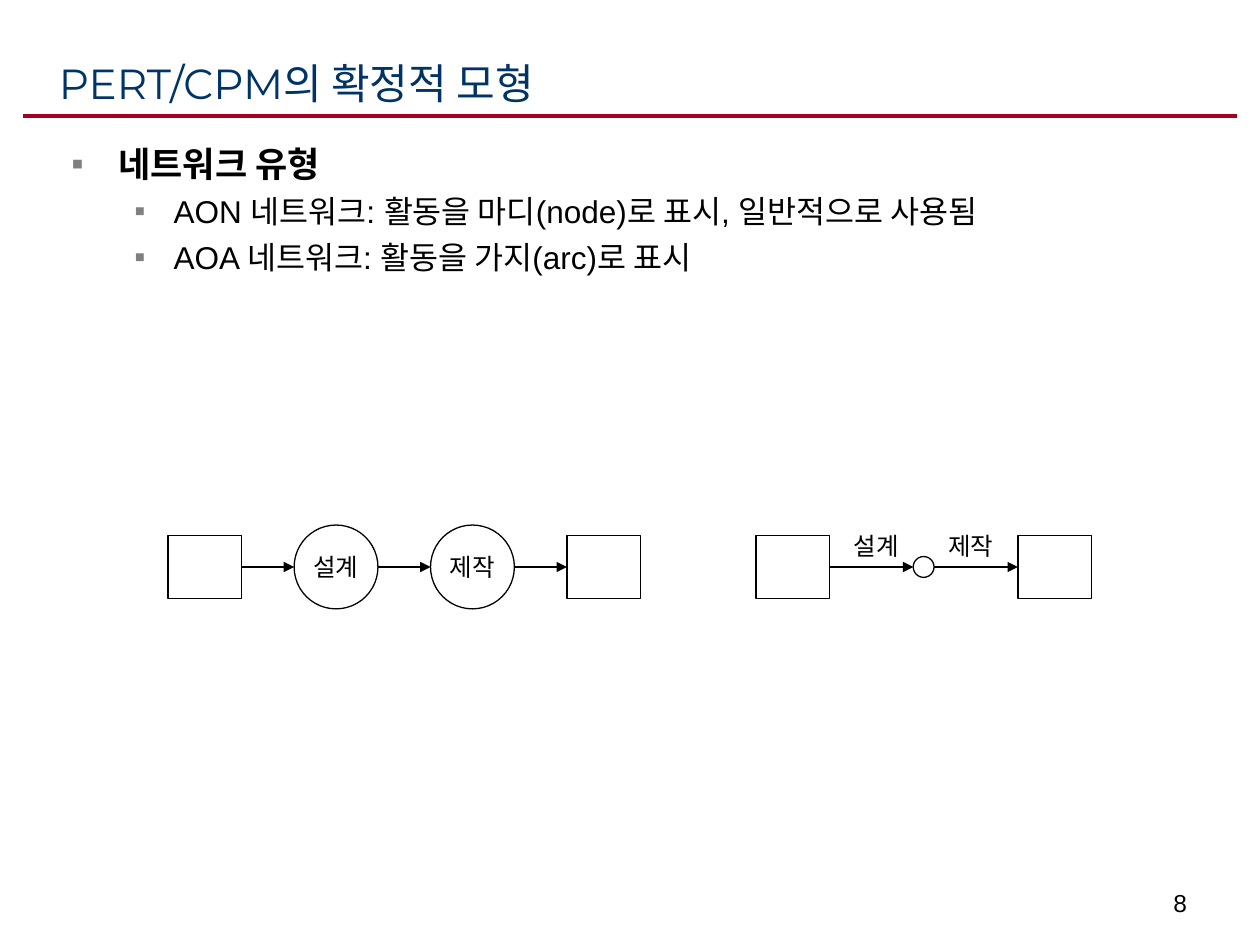
from pptx import Presentation
from pptx.dml.color import RGBColor
from pptx.enum.shapes import MSO_CONNECTOR, MSO_SHAPE
from pptx.enum.text import MSO_ANCHOR, PP_ALIGN
from pptx.oxml.ns import qn
from pptx.util import Cm, Pt
from lxml.etree import SubElement


def color(text):
    return RGBColor.from_string(text)


class Deck:
    font = "Arial"
    ink = "000000"
    paper = "FFFFFF"
    thin = 0.75
    axis = 11.43
    sizes = {"box": (1.48, 1.27), "node": (1.69, 1.69), "dot": (0.42, 0.42)}

    def __init__(self):
        self.file = Presentation()
        self.file.slide_width = Cm(25.4)
        self.file.slide_height = Cm(19.05)
        self.slide = self.file.slides.add_slide(self.file.slide_layouts[6])
        self.shapes = self.slide.shapes

    def style(self, para, text, size, align=PP_ALIGN.LEFT, font=None, ink=None, bold=False):
        para.text = text
        para.alignment = align
        para.font.name = font or self.font
        para.font.size = Pt(size)
        para.font.bold = bold
        para.font.color.rgb = color(ink or self.ink)

    def frame(self, left, top, width, height, wrap=True, anchor=MSO_ANCHOR.TOP):
        area = self.shapes.add_textbox(Cm(left), Cm(top), Cm(width), Cm(height))
        frame = area.text_frame
        frame.word_wrap = wrap
        frame.vertical_anchor = anchor
        return frame

    def text(self, place, text, size, wrap=True, anchor=MSO_ANCHOR.TOP, **look):
        frame = self.frame(*place, wrap, anchor)
        self.style(frame.paragraphs[0], text, size, **look)

    def bullets(self, place, items):
        frame = self.frame(*place)
        for num, (level, text) in enumerate(items):
            para = frame.add_paragraph() if num else frame.paragraphs[0]
            size, before, left, hang = [(20, 12.5, 0.95, 0.95), (18, 4.5, 2.06, 0.79)][level]
            self.style(para, text, size, bold=level == 0)
            para.level = level
            para.space_before = Pt(before)
            props = para._p.get_or_add_pPr()
            props.set("marL", str(Cm(left)))
            props.set("indent", str(-Cm(hang)))
            tint = SubElement(props, qn("a:buClr"))
            SubElement(tint, qn("a:srgbClr"), val="808080")
            SubElement(props, qn("a:buFont"), typeface=self.font)
            SubElement(props, qn("a:buChar"), char="▪")

    def node(self, kind, left, text):
        width, height = self.sizes[kind]
        form = MSO_SHAPE.RECTANGLE if kind == "box" else MSO_SHAPE.OVAL
        shape = self.shapes.add_shape(
            form, Cm(left), Cm(self.axis - height / 2), Cm(width), Cm(height))
        shape.shadow.inherit = False
        shape.fill.solid()
        shape.fill.fore_color.rgb = color(self.paper)
        shape.line.color.rgb = color(self.ink)
        shape.line.width = Pt(self.thin)
        if text:
            frame = shape.text_frame
            frame.word_wrap = False
            frame.vertical_anchor = MSO_ANCHOR.MIDDLE
            self.style(frame.paragraphs[0], text, 14, PP_ALIGN.CENTER)
        return shape

    def line(self, start, end, y, ink=None, width=thin):
        line = self.shapes.add_connector(
            MSO_CONNECTOR.STRAIGHT, Cm(start), Cm(y), Cm(end), Cm(y))
        line.line.color.rgb = color(ink or self.ink)
        line.line.width = Pt(width)
        SubElement(line._element.spPr, qn("a:effectLst"))
        return line

    def arrow(self, start, end):
        line = self.line(start, end, self.axis)
        SubElement(line.line._get_or_add_ln(), qn("a:tailEnd"), type="triangle")
        return line

    def chain(self, left, gap, nodes):
        last = None
        for kind, text in nodes:
            shape = self.node(kind, left, text)
            if last:
                line = self.arrow(left - gap, left)
                if last[0] == "box":
                    line.begin_connect(last[1], 3)
                if kind == "box":
                    line.end_connect(shape, 1)
            last = kind, shape
            left += self.sizes[kind][0] + gap

    def save(self):
        self.file.save("out.pptx")


def main():
    deck = Deck()
    tasks = ["설계", "제작"]
    deck.line(0.46, 24.94, 2.34, "A50021", 2.25)
    deck.text((0.94, 0.76, 23.5, 1.55), "PERT/CPM의 확정적 모형", 24,
              anchor=MSO_ANCHOR.BOTTOM, font="Montserrat", ink="003366")
    deck.bullets((1.19, 2.74, 23.01, 14.81), [
        (0, "네트워크 유형"),
        (1, "AON 네트워크: 활동을 마디(node)로 표시, 일반적으로 사용됨"),
        (1, "AOA 네트워크: 활동을 가지(arc)로 표시"),
    ])
    ends = [("box", "")]
    deck.chain(3.39, 1.06, ends + [("node", task) for task in tasks] + ends)
    deck.chain(15.24, 1.69, ends + [("dot", "")] + ends)
    for num, task in enumerate(tasks):
        deck.text((16.94 + 1.91 * num, 10.59, 1.45, 0.86), task, 14,
                  wrap=False, align=PP_ALIGN.CENTER)
    deck.text((18.69, 17.78, 5.49, 0.74), "8", 14, align=PP_ALIGN.RIGHT)
    deck.save()


if __name__ == "__main__":
    main()
